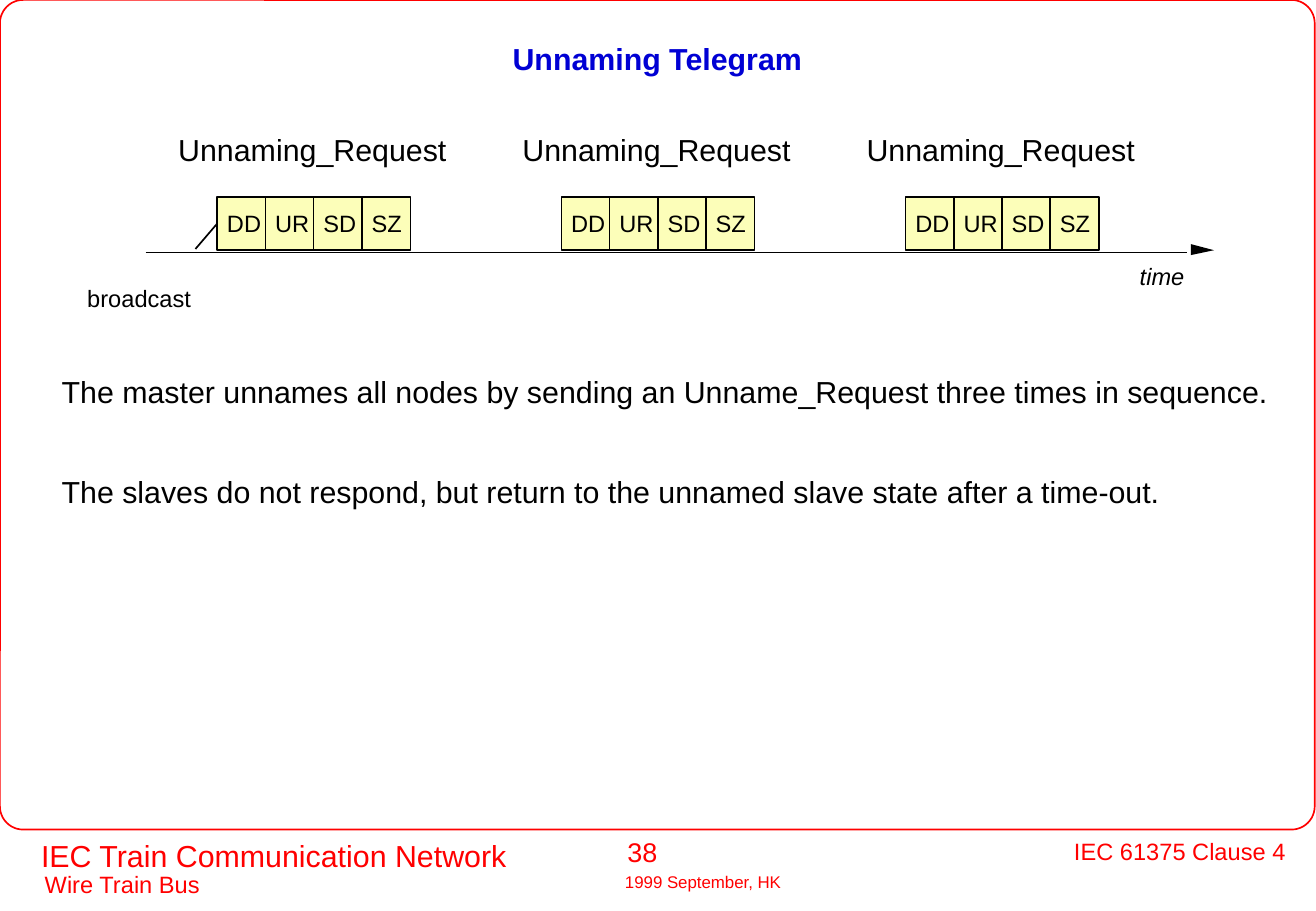
import pptx
import pptx.util
import pptx.dml.color
import pptx.enum.shapes
import pptx.enum.text
import pptx.oxml.ns
import lxml.etree

Inches, Pt = pptx.util.Inches, pptx.util.Pt
SHAPE = pptx.enum.shapes.MSO_SHAPE
ALIGN = pptx.enum.text.PP_ALIGN
ANCHOR = pptx.enum.text.MSO_ANCHOR

COLORS = {"frame": "FF0000", "title": "0000D4", "text": "000000", "cell": "FCFEB9"}
FIELDS = ["DD", "UR", "SD", "SZ"]
TELEGRAM_LEFT, TELEGRAM_PITCH = 1.79, 2.835
CELL_TOP, CELL_W, CELL_H, CELL_PITCH = 1.62, 0.4, 0.44, 0.397


def rgb(name):
    return pptx.dml.color.RGBColor.from_string(COLORS[name])


def set_text(tf, text, size, color="text", bold=False, italic=False, align=ALIGN.LEFT):
    tf.word_wrap = True
    p = tf.paragraphs[0]
    p.text = text
    p.alignment = align
    f = p.font
    f.name, f.size, f.bold, f.italic = "Arial", Pt(size), bold, italic
    f.color.rgb = rgb(color)
    return p


def add_label(s, text, x, y, w, h, size, **style):
    tb = s.shapes.add_textbox(Inches(x), Inches(y), Inches(w), Inches(h))
    set_text(tb.text_frame, text, size, **style)


def add_line(s, x1, y1, x2, y2):
    c = s.shapes.add_connector(pptx.enum.shapes.MSO_CONNECTOR.STRAIGHT,
                               Inches(x1), Inches(y1), Inches(x2), Inches(y2))
    c.line.color.rgb = rgb("text")
    c.line.width = Pt(1)
    lxml.etree.SubElement(c._element.spPr, pptx.oxml.ns.qn("a:effectLst"))
    return c


def add_frame(s):
    sp = s.shapes.add_shape(SHAPE.ROUNDED_RECTANGLE, 0, 0, Inches(10.83), Inches(6.83))
    sp.adjustments[0] = 0.028
    sp.shadow.inherit = False
    sp.fill.background()
    sp.line.color.rgb = rgb("frame")
    sp.line.width = Pt(1)


def add_title(s, text):
    sp = s.shapes.title
    sp.left, sp.top = Inches(0.18), Inches(0.22)
    sp.width, sp.height = Inches(10.47), Inches(0.56)
    tf = sp.text_frame
    tf.vertical_anchor = ANCHOR.MIDDLE
    p = set_text(tf, text, 18, "title", bold=True, align=ALIGN.CENTER)
    p.line_spacing = 0.87


def add_cell(s, text, x):
    sp = s.shapes.add_shape(SHAPE.RECTANGLE, Inches(x), Inches(CELL_TOP),
                            Inches(CELL_W), Inches(CELL_H))
    sp.shadow.inherit = False
    sp.fill.solid()
    sp.fill.fore_color.rgb = rgb("cell")
    sp.line.color.rgb = rgb("text")
    sp.line.width = Pt(1)
    tf = sp.text_frame
    tf.margin_left, tf.margin_right = Inches(0.08), 0
    tf.vertical_anchor = ANCHOR.MIDDLE
    set_text(tf, text, 14)
    return sp


def add_telegram(s, x):
    """Add a captioned row of fields and return its cells."""
    add_label(s, "Unnaming_Request", x - 0.42, 1.03, 2.6, 0.4, 18)
    return [add_cell(s, field, x + i * CELL_PITCH) for i, field in enumerate(FIELDS)]


def add_time_axis(s):
    add_line(s, 1.2, 2.08, 9.78, 2.08)
    fb = s.shapes.build_freeform(Inches(10), Inches(2.06), scale=1.0)
    fb.add_line_segments([(Inches(9.81), Inches(2.1)), (Inches(9.81), Inches(2.01))])
    head = fb.convert_to_shape()
    head.shadow.inherit = False
    head.fill.solid()
    head.fill.fore_color.rgb = rgb("text")
    head.line.fill.background()
    add_label(s, "time", 9.29, 2.11, 0.7, 0.33, 14, italic=True)


def add_footer(s):
    for text, x, y, w, h, size, align in [
        ("IEC Train Communication Network", 0.24, 6.84, 4.3, 0.4, 18, ALIGN.LEFT),
        ("Wire Train Bus", 0.27, 7.11, 1.7, 0.33, 14, ALIGN.LEFT),
        ("38", 5.07, 6.83, 1.21, 0.36, 16, ALIGN.LEFT),
        ("1999 September, HK", 5.05, 7.13, 1.7, 0.26, 10, ALIGN.LEFT),
        ("IEC 61375 Clause 4", 8.49, 6.84, 2.2, 0.33, 14, ALIGN.RIGHT),
    ]:
        add_label(s, text, x, y, w, h, size, color="frame", align=align)


def main():
    prs = pptx.Presentation()
    prs.slide_width, prs.slide_height = Inches(10.84), Inches(7.5)
    s = prs.slides.add_slide(prs.slide_layouts[5])
    add_frame(s)
    add_footer(s)
    add_title(s, "Unnaming Telegram")

    telegrams = [add_telegram(s, TELEGRAM_LEFT + i * TELEGRAM_PITCH) for i in range(3)]
    add_time_axis(s)
    pointer = add_line(s, 1.61, 2.05, TELEGRAM_LEFT, CELL_TOP + CELL_H / 2)
    pointer.end_connect(telegrams[0][0], 1)
    add_label(s, "broadcast", 0.62, 2.29, 1.25, 0.33, 14)

    add_label(s, "The master unnames all nodes by sending an Unname_Request "
              "three times in sequence.", 0.41, 3.02, 10.3, 0.4, 18)
    add_label(s, "The slaves do not respond, but return to the unnamed slave state "
              "after a time-out.", 0.41, 3.85, 10.3, 0.4, 18)
    prs.save("out.pptx")


if __name__ == "__main__":
    main()
